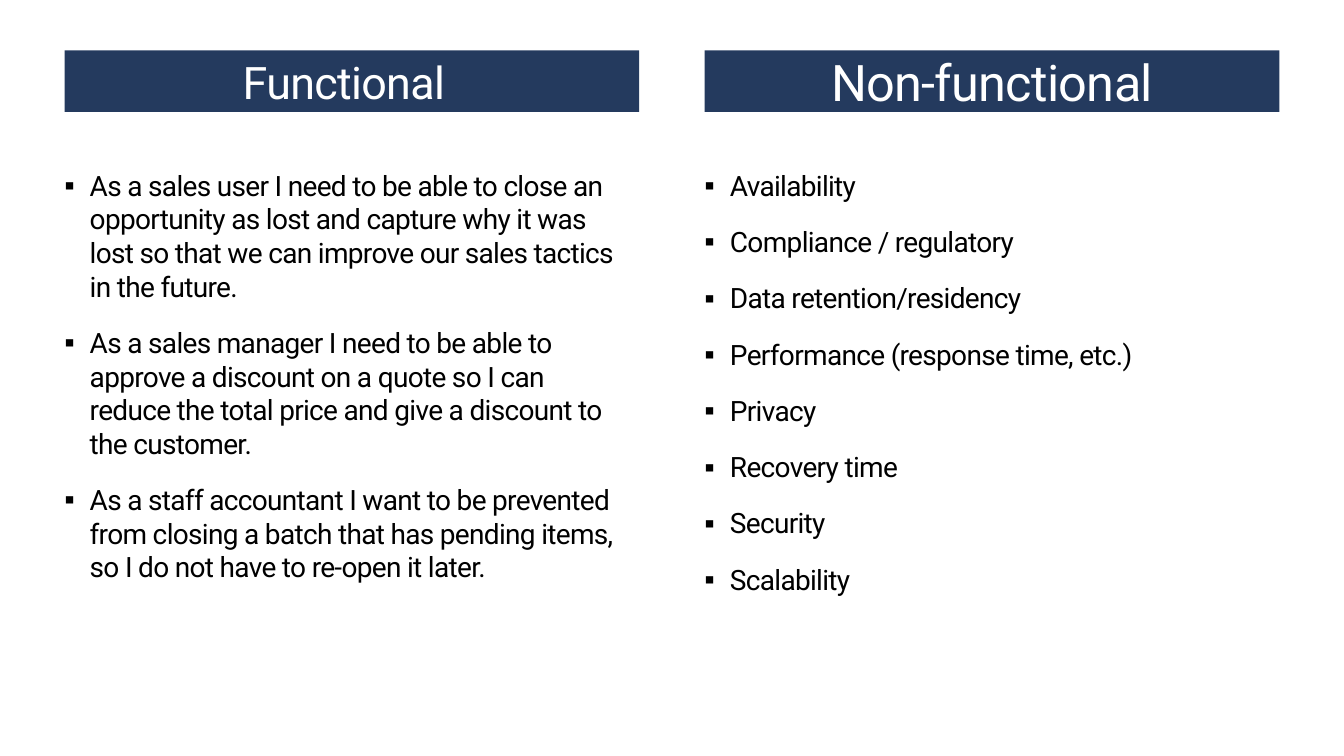
from lxml.etree import SubElement
from pptx import Presentation
from pptx.dml.color import RGBColor
from pptx.enum.shapes import MSO_SHAPE
from pptx.enum.text import MSO_ANCHOR, PP_ALIGN
from pptx.oxml.ns import qn
from pptx.util import Inches, Pt

NAVY = RGBColor(0x24, 0x3A, 0x5E)
WHITE = RGBColor(0xFF, 0xFF, 0xFF)
BLACK = RGBColor(0x00, 0x00, 0x00)

COLUMN_LEFTS = (0.64, 6.99)
COLUMN_WIDTH = 5.7
BODY_INSETS = (0, 0.1, 0.16, 0.1)

USER_STORIES = [
    "As a sales user I need to be able to close an opportunity as lost and capture why it was "
    "lost so that we can improve our sales tactics in the future.",
    "As a sales manager I need to be able to approve a discount on a quote so I can reduce the "
    "total price and give a discount to the customer.",
    "As a staff accountant I want to be prevented from closing a batch that has pending items, "
    "so I do not have to re-open it later.",
]
QUALITIES = [
    "Availability",
    "Compliance / regulatory",
    "Data retention/residency",
    "Performance (response time, etc.)",
    "Privacy",
    "Recovery time",
    "Security",
    "Scalability",
]


def set_frame(frame, insets, anchor):
    frame.word_wrap = True
    frame.vertical_anchor = anchor
    for side, inset in zip(("left", "top", "right", "bottom"), insets):
        setattr(frame, f"margin_{side}", Inches(inset))


def add_run(paragraph, text, size, color):
    """Add Roboto text with letters set half a point tighter."""
    run = paragraph.add_run()
    run.text = text
    for name, value in {"name": "Roboto", "size": Pt(size)}.items():
        setattr(run.font, name, value)
    run.font.color.rgb = color
    run._r.get_or_add_rPr().set("spc", "-50")


def add_bullet(paragraph):
    properties = paragraph._p.get_or_add_pPr()
    properties.set("marL", str(Inches(0.25)))
    properties.set("indent", str(-Inches(0.25)))
    color = SubElement(properties, qn("a:buClr"))
    SubElement(color, qn("a:srgbClr"), val=str(BLACK))
    SubElement(properties, qn("a:buSzPct"), val="90000")
    SubElement(properties, qn("a:buFont"), typeface="Roboto")
    SubElement(properties, qn("a:buChar"), char="▪")


def add_heading(slide, left, text, size, insets, anchor, line_spacing):
    shape = slide.shapes.add_shape(
        MSO_SHAPE.RECTANGLE, Inches(left), Inches(0.5), Inches(COLUMN_WIDTH), Inches(0.61))
    shape.shadow.inherit = False
    shape.fill.solid()
    shape.fill.fore_color.rgb = NAVY
    shape.line.fill.background()
    set_frame(shape.text_frame, insets, anchor)
    paragraph = shape.text_frame.paragraphs[0]
    paragraph.alignment = PP_ALIGN.CENTER
    paragraph.line_spacing = line_spacing
    add_run(paragraph, text, size, WHITE)


def add_bullet_list(slide, left, height, items):
    shape = slide.shapes.add_textbox(
        Inches(left), Inches(1.57), Inches(COLUMN_WIDTH), Inches(height))
    frame = shape.text_frame
    set_frame(frame, BODY_INSETS, MSO_ANCHOR.TOP)
    for index, item in enumerate(items):
        paragraph = frame.add_paragraph() if index else frame.paragraphs[0]
        add_bullet(paragraph)
        paragraph.space_before = Pt(12.2 if index else 0)
        paragraph.space_after = Pt(4)
        add_run(paragraph, item, 20, BLACK)


def main():
    presentation = Presentation()
    presentation.slide_width = Inches(13.33)
    presentation.slide_height = Inches(7.5)
    slide = presentation.slides.add_slide(presentation.slide_layouts[6])

    functional_left, non_functional_left = COLUMN_LEFTS
    add_heading(slide, functional_left, "Functional", 32, BODY_INSETS, MSO_ANCHOR.TOP, 0.9)
    add_bullet_list(slide, functional_left, 4.35, USER_STORIES)
    add_bullet_list(slide, non_functional_left, 4.47, QUALITIES)
    add_heading(slide, non_functional_left, "Non-functional", 36, (0, 0, 0, 0),
                MSO_ANCHOR.MIDDLE, 1.0)
    presentation.save("out.pptx")


if __name__ == "__main__":
    main()
